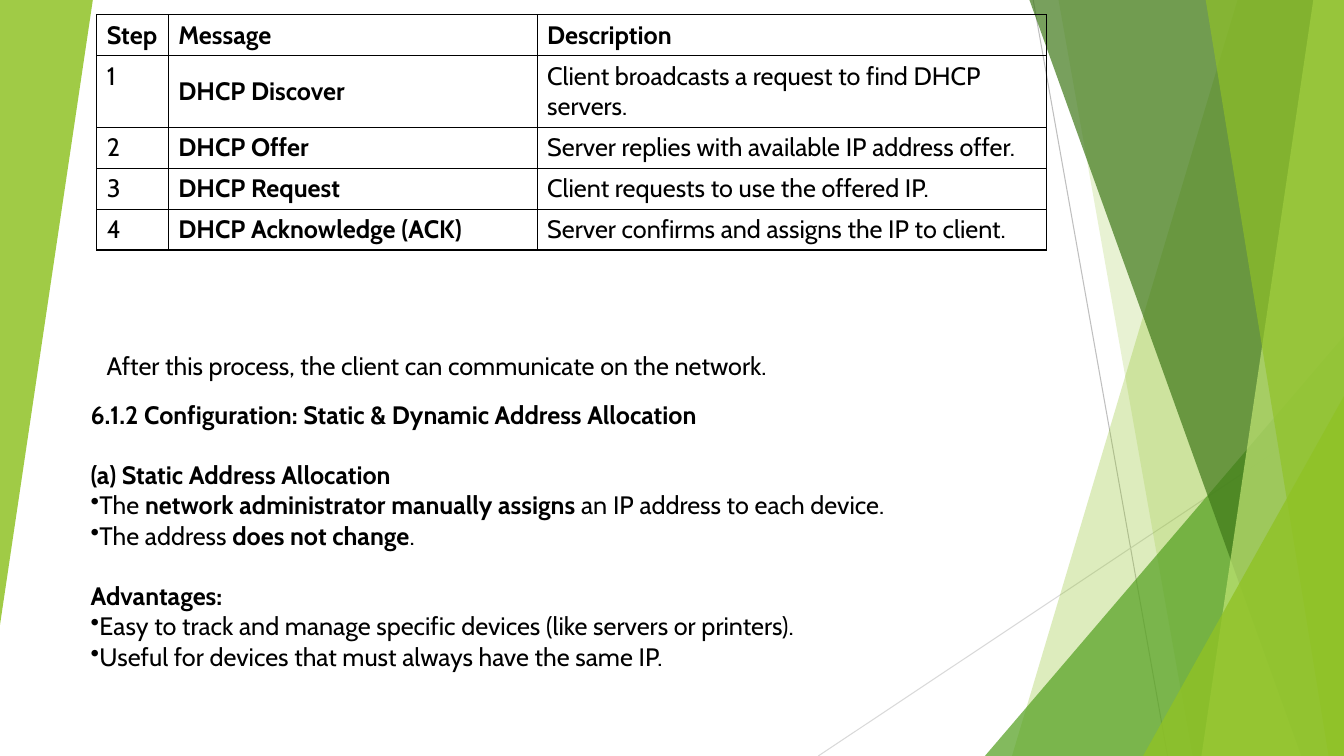
"""Build the DHCP message steps and static address allocation slide."""
from lxml.etree import SubElement
from pptx import Presentation
from pptx.dml.color import RGBColor
from pptx.enum.shapes import MSO_CONNECTOR, MSO_SHAPE
from pptx.enum.text import MSO_ANCHOR as Anchor
from pptx.oxml import parse_xml
from pptx.oxml.ns import nsdecls, qn
from pptx.util import Pt

COLORS = {"text": "000000", "lime": "90C226", "green": "54A021", "dark": "3F7819",
          "pale": "C0E474", "gray": "BFBFBF", "light gray": "D9D9D9"}
WIDTH, HEIGHT, TOP = 960, 540, -0.7


def paint(shape, color, opacity):
    shape.shadow.inherit = False
    shape.line.fill.background()
    shape.fill.solid()
    shape.fill.fore_color.rgb = RGBColor.from_string(COLORS[color])
    fill_color = shape._element.spPr.find(".//" + qn("a:srgbClr"))
    SubElement(fill_color, qn("a:alpha"), val=str(opacity * 1000))


def set_font(font, bold=None):
    font.name = "Cabin"
    font.size = Pt(18)
    font.bold = bold
    font.color.rgb = RGBColor.from_string(COLORS["text"])


presentation = Presentation()
presentation.slide_width, presentation.slide_height = Pt(WIDTH), Pt(HEIGHT)
slide = presentation.slides.add_slide(presentation.slide_layouts[6])
shapes = slide.shapes

for x1, y1, x2, y2, color in [(738, 0, 834, HEIGHT, "gray"),
                              (WIDTH, 290, 584.5, HEIGHT, "light gray")]:
    connector = shapes.add_connector(MSO_CONNECTOR.STRAIGHT, Pt(x1), Pt(y1), Pt(x2), Pt(y2))
    connector.line.width = Pt(0.75)
    connector.line.color.rgb = RGBColor.from_string(COLORS[color])
    SubElement(connector._element.spPr, qn("a:effectLst"))

FACETS = [
    ("band", (884.2, 722.9), "lime", 30),
    ("band", (756, 851.8), "lime", 20),
    ("triangle", (703.5, 240, 256.5, 300, 0), "green", 72),
    ("band", (735.1, 929.5), "dark", 70),
    ("band", (938.2, 858.2), "pale", 70),
    ("band", (861.1, 949), "lime", 65),
    ("triangle", (816.5, 283, 143.5, 257, 0), "lime", 80),
    ("triangle", (0, 0, 66.3, 446.3, 180), "lime", 85),
]
for kind, geometry, color, opacity in FACETS:
    if kind == "band":
        top_x, bottom_x = geometry
        builder = shapes.build_freeform(Pt(top_x), Pt(TOP))
        builder.add_line_segments([(Pt(WIDTH), Pt(TOP)), (Pt(WIDTH), Pt(HEIGHT)),
                                   (Pt(bottom_x), Pt(HEIGHT))])
        facet = builder.convert_to_shape()
    else:
        *box, rotation = geometry
        facet = shapes.add_shape(MSO_SHAPE.ISOSCELES_TRIANGLE, *map(Pt, box))
        facet.adjustments[0] = 1
        facet.rotation = rotation
    paint(facet, color, opacity)

STEPS = [
    ("Step", "Message", "Description"),
    ("1", "DHCP Discover", "Client broadcasts a request to find DHCP servers."),
    ("2", "DHCP Offer", "Server replies with available IP address offer."),
    ("3", "DHCP Request", "Client requests to use the offered IP."),
    ("4", "DHCP Acknowledge (ACK)", "Server confirms and assigns the IP to client."),
]
COLUMN_WIDTHS = [51.1, 263.5, 363.6]
ROW_HEIGHTS = [29.2, 51.2, 29.2, 29.2, 29.2]
table = shapes.add_table(len(STEPS), len(COLUMN_WIDTHS), Pt(69.1), Pt(10.6),
                         Pt(sum(COLUMN_WIDTHS)), Pt(sum(ROW_HEIGHTS))).table
table.first_row = table.horz_banding = False
for column, width in zip(table.columns, COLUMN_WIDTHS):
    column.width = Pt(width)
for row, height in zip(table.rows, ROW_HEIGHTS):
    row.height = Pt(height)
for row_index, step in enumerate(STEPS):
    for column_index, text in enumerate(step):
        cell = table.cell(row_index, column_index)
        cell.text = text
        is_number = row_index > 0 and column_index == 0
        cell.vertical_anchor = Anchor.TOP if is_number else Anchor.MIDDLE
        set_font(cell.text_frame.paragraphs[0].font, row_index == 0 or column_index == 1)
        cell.fill.background()
        properties = cell._tc.get_or_add_tcPr()
        for position, side in enumerate("LRTB"):
            properties.insert(position, parse_xml(
                f'<a:ln{side} {nsdecls("a")} w="12700"><a:solidFill>'
                f'<a:srgbClr val="{COLORS["text"]}"/></a:solidFill></a:ln{side}>'))

RESULT = [("plain", ["After this process, the client can communicate on the network."])]
ALLOCATION = [
    ("heading", ["6.1.2 Configuration: Static & Dynamic Address Allocation"]),
    ("heading", ["(a) Static Address Allocation"]),
    ("bullet", ["The ", "network administrator manually assigns",
                " an IP address to each device."]),
    ("bullet", ["The address ", "does not change", "."]),
    ("heading", ["Advantages:"]),
    ("bullet", ["Easy to track and manage specific devices (like servers or printers)."]),
    ("bullet", ["Useful for devices that must always have the same IP."]),
]
for box, lines in [((69.1, 247, 662.4, 29), RESULT), ((57.6, 281.5, 785.5, 204), ALLOCATION)]:
    frame = shapes.add_textbox(*map(Pt, box)).text_frame
    frame.word_wrap = True
    for line_index, (kind, parts) in enumerate(lines):
        paragraph = frame.add_paragraph() if line_index else frame.paragraphs[0]
        if kind == "bullet":
            SubElement(paragraph._p.get_or_add_pPr(), qn("a:buChar"), char="•")
        elif line_index:
            paragraph.space_before = Pt(21.6)
        set_font(paragraph.font, kind == "heading")
        for part_index, part in enumerate(parts):
            run = paragraph.add_run()
            run.text = part
            if part_index % 2:
                run.font.bold = True

presentation.save("out.pptx")
